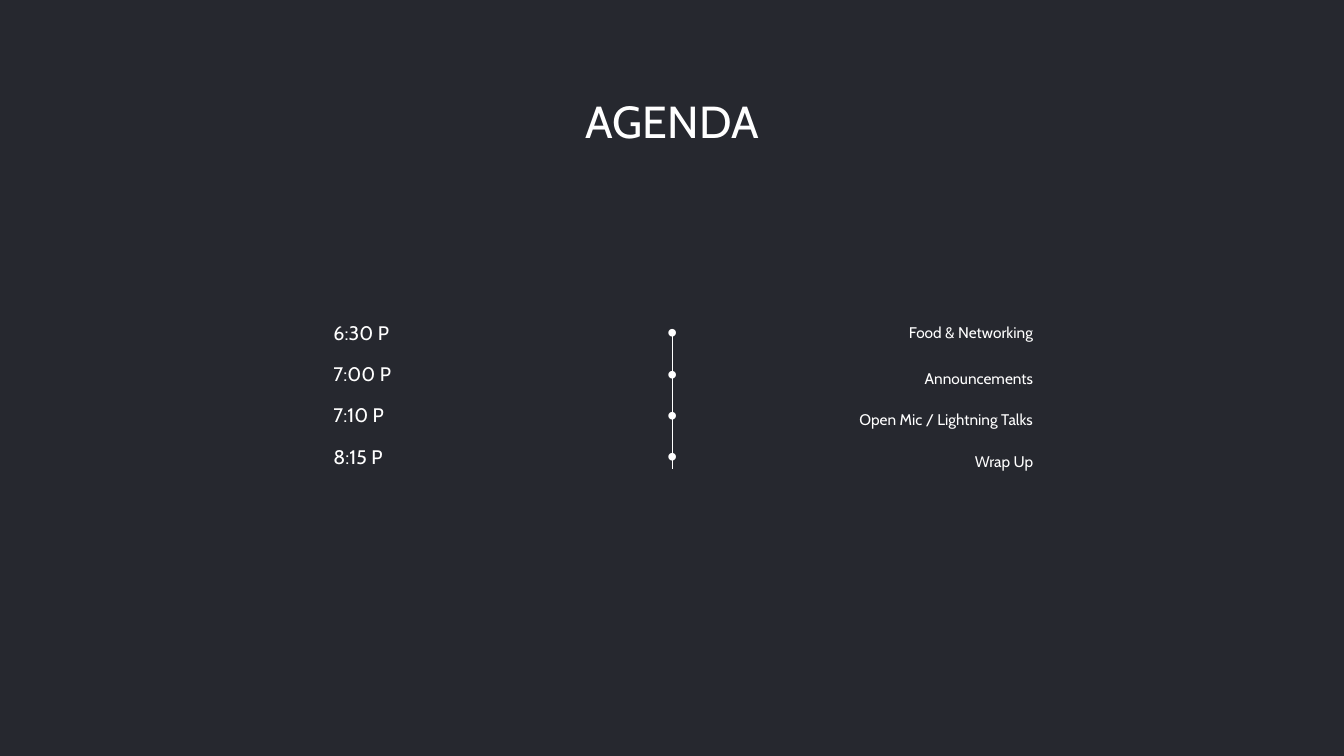
from pptx import Presentation
from pptx.dml.color import RGBColor
from pptx.enum.shapes import MSO_CONNECTOR, MSO_SHAPE
from pptx.enum.text import MSO_ANCHOR, MSO_AUTO_SIZE, PP_ALIGN
from pptx.oxml.ns import qn
from pptx.util import Cm, Pt
from lxml import etree

NIGHT = RGBColor(0x26, 0x28, 0x2F)
WHITE = RGBColor(0xFF, 0xFF, 0xFF)
LEFT, CENTER, RIGHT = PP_ALIGN.LEFT, PP_ALIGN.CENTER, PP_ALIGN.RIGHT
TOP, MIDDLE = MSO_ANCHOR.TOP, MSO_ANCHOR.MIDDLE
GROW = MSO_AUTO_SIZE.SHAPE_TO_FIT_TEXT
STRAIGHT, RECTANGLE = MSO_CONNECTOR.STRAIGHT, MSO_SHAPE.RECTANGLE
PLAIN_TABLE = "{2D5ABB26-0587-4C30-8999-92F81FD0307C}"

AGENDA = [
    ("6:30 P", "Food & Networking", 1.0),
    ("7:00 P", "Announcements", 1.5),
    ("7:10 P", "Open Mic / Lightning Talks", 1.5),
    ("8:15 P", "Wrap Up", 1.5),
]
COLUMN_WIDTHS = (7.52, 2.54, 8.08)
ROW_HEIGHT = 1.04

TITLE = {"size": Pt(32), "name": "Cabin"}
TIME = {"size": Pt(14), "name": "Cabin"}
DOT = {"size": Pt(20), "name": "Arial"}
TOPIC = {"size": Pt(11), "name": "Cabin"}


class AgendaSlide:
    def __init__(self, deck):
        self.page = deck.slides.add_slide(deck.slide_layouts[6])
        background = self.page.background.fill
        background.solid()
        background.fore_color.rgb = NIGHT

    def add_text(self, frame, text, font, align, spacing=1.0):
        para = frame.paragraphs[0]
        para.alignment = align
        para.line_spacing = spacing
        span = para.add_run()
        span.text = text
        for key, value in font.items():
            setattr(span.font, key, value)
        span.font.color.rgb = WHITE

    def title(self, text, left, top, width, height):
        box = self.page.shapes.add_shape(
            RECTANGLE, Cm(left), Cm(top), Cm(width), Cm(height))
        box.shadow.inherit = False
        box.fill.solid()
        box.fill.fore_color.rgb = NIGHT
        box.line.fill.background()
        frame = box.text_frame
        for key, value in {"word_wrap": True, "auto_size": GROW,
                           "vertical_anchor": TOP}.items():
            setattr(frame, key, value)
        self.add_text(frame, text, TITLE, CENTER)

    def schedule(self, items, left, top):
        """Add the table of times, timeline dots and topics."""
        table = self.page.shapes.add_table(
            len(items), len(COLUMN_WIDTHS), Cm(left), Cm(top),
            Cm(sum(COLUMN_WIDTHS)), Cm(ROW_HEIGHT * len(items))).table
        table.first_row = table.horz_banding = False
        table._tbl.tblPr.find(qn("a:tableStyleId")).text = PLAIN_TABLE
        for column, width in zip(table.columns, COLUMN_WIDTHS):
            column.width = Cm(width)
        for row, (time, topic, spacing) in zip(table.rows, items):
            row.height = Cm(ROW_HEIGHT)
            contents = [(time, TIME, LEFT), ("•", DOT, CENTER),
                        (topic, TOPIC, RIGHT, spacing)]
            for cell, content in zip(row.cells, contents):
                cell.fill.background()
                cell.vertical_anchor = MIDDLE
                self.add_text(cell.text_frame, *content)

    def timeline(self, x, top, bottom):
        line = self.page.shapes.add_connector(
            STRAIGHT, Cm(x), Cm(top), Cm(x), Cm(bottom))
        line.line.color.rgb = WHITE
        line.line.width = Pt(1)
        etree.SubElement(line._element.spPr, qn("a:effectLst"))


def main():
    deck = Presentation()
    deck.slide_width, deck.slide_height = Cm(33.87), Cm(19.05)
    slide = AgendaSlide(deck)
    slide.schedule(AGENDA, 8.15, 7.87)
    slide.timeline(16.94, 8.41, 11.81)
    slide.title("AGENDA", 7.87, 2.24, 18.14, 1.63)
    deck.save("out.pptx")


if __name__ == "__main__":
    main()
